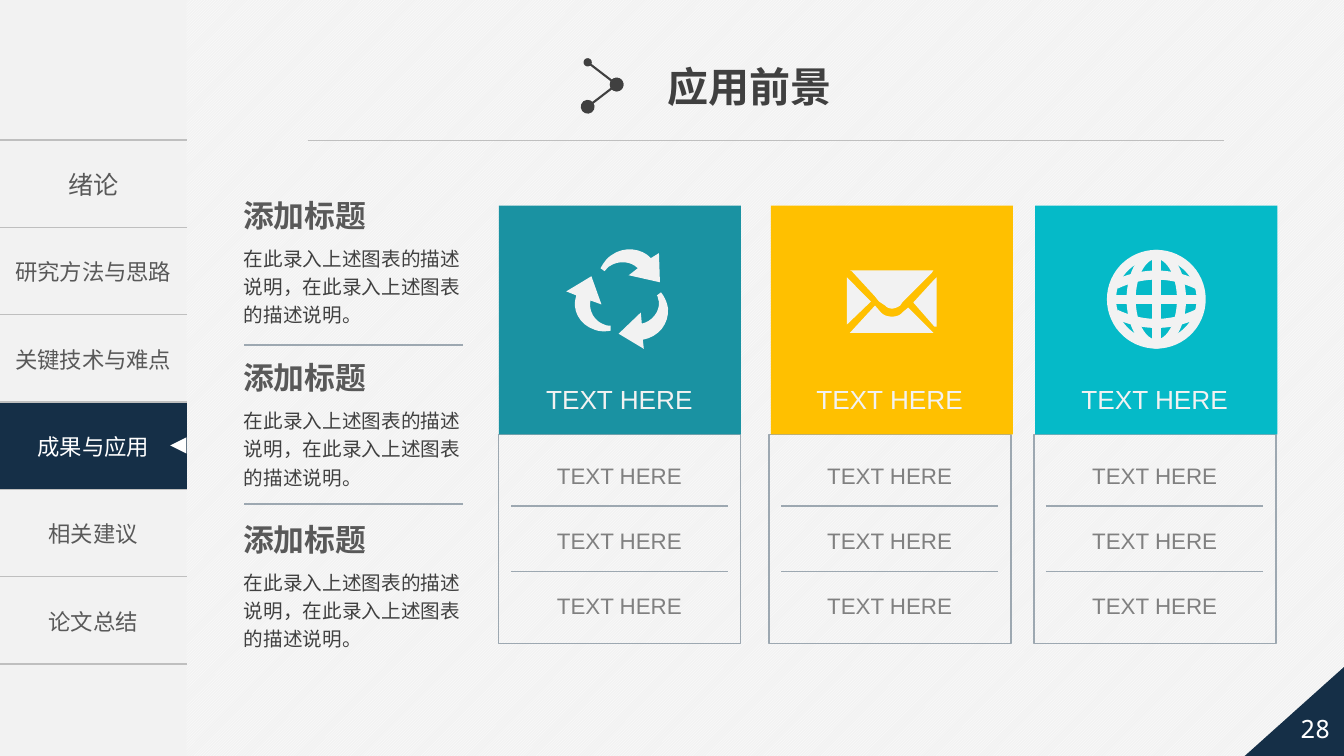
import dataclasses
import math

import lxml.etree
import pptx
import pptx.dml.color
import pptx.enum.dml
import pptx.enum.shapes
import pptx.enum.text
import pptx.oxml.ns
import pptx.shapes.autoshape
import pptx.slide
import pptx.table
import pptx.util

Cm = pptx.util.Cm
Align = pptx.enum.text.PP_ALIGN
Anchor = pptx.enum.text.MSO_ANCHOR
Preset = pptx.enum.shapes.MSO_SHAPE
Contour = list[tuple[float, ...]]


@dataclasses.dataclass(frozen=True)
class Theme:
    paper: str = "F2F2F2"
    white: str = "FFFFFF"
    navy: str = "152F47"
    teal: str = "1A92A2"
    amber: str = "FFC000"
    cyan: str = "05BAC8"
    rule: str = "BFBFBF"
    steel: str = "9DA8B1"
    dark: str = "404040"
    heading: str = "595959"
    muted: str = "808080"
    title_size: float = 29.3
    heading_size: float = 22
    label_size: float = 18.7
    large_size: float = 18
    item_size: float = 16
    body_size: float = 14
    latin: str = "Arial"
    chinese: str = "Noto Sans CJK SC"
    mono: str = "Noto Sans Mono"


@dataclasses.dataclass(frozen=True)
class Card:
    header_left: float
    body_left: float
    color: str


THEME = Theme()
CHAPTERS = ["绪论", "研究方法与思路", "关键技术与难点", "成果与应用", "相关建议", "论文总结"]
ACTIVE_CHAPTER = "成果与应用"
CARDS = [
    Card(12.57, 12.57, THEME.teal),
    Card(19.43, 19.38, THEME.amber),
    Card(26.09, 26.06, THEME.cyan),
]
SECTION_TOPS = [4.83, 8.92, 13.0]
DESCRIPTION = "在此录入上述图表的描述说明，在此录入上述图表的描述说明。"
RECYCLE_ARROWS: list[Contour] = [
    [(77, 102), (52, 87), (74, 66), (75, 77), (85, 75, 93, 65, 92, 55), (91, 53, 91, 50, 90, 49),
     (94, 46), (98, 51, 100, 56, 101, 62), (102, 77, 92, 90, 76, 93)],
    [(0, 45), (25, 30), (35, 58), (24, 54), (22, 64, 28, 75, 38, 78), (40, 79, 42, 79, 44, 79),
     (44, 84), (39, 85, 33, 85, 28, 83), (13, 78, 5, 63, 10, 49)],
    [(92, 7), (84, 12), (75, 2, 57, 0, 45, 9), (40, 12, 37, 17, 34, 22), (38, 25),
     (40, 23, 41, 21, 43, 20), (52, 14, 64, 15, 71, 22), (62, 29), (93, 36)],
]
ENVELOPE: list[Contour] = [
    [(0, 7), (0, 54), (24, 31)],
    [(28, 26), (32, 31), (38, 35), (40, 37, 42, 38, 45, 38), (47, 38, 50, 37, 53, 35),
     (55, 32), (61, 26), (84, 3), (86, 0), (3, 0), (5, 1)],
    [(61, 37), (55, 42), (53, 45, 48, 46, 45, 46), (41, 46, 37, 45, 34, 42),
     (28, 35), (5, 60), (3, 62), (86, 62), (84, 60)],
    [(87, 9), (66, 32), (87, 56), (89, 56), (89, 7)],
]


def rgb(color: str) -> pptx.dml.color.RGBColor:
    return pptx.dml.color.RGBColor.from_string(color)


def add_xml(parent: lxml.etree._Element, tag: str, **attributes: str) -> lxml.etree._Element:
    return lxml.etree.SubElement(parent, pptx.oxml.ns.qn(tag), attributes)


def write_text(frame: pptx.text.text.TextFrame, text: str, *, size: float, color: str,
               font: str = THEME.chinese, bold: bool = False, align: Align = Align.LEFT,
               spacing: float = 1.0) -> None:
    paragraph = frame.paragraphs[0]
    paragraph.alignment = align
    paragraph.line_spacing = spacing
    run = paragraph.add_run()
    run.text = text
    run.font.size = pptx.util.Pt(size)
    run.font.bold = bold
    run.font.name = font
    run.font.color.rgb = rgb(color)
    add_xml(run.font._element, "a:ea", typeface=THEME.chinese)


def add_text(slide: pptx.slide.Slide, text: str, left: float, top: float, width: float,
             height: float, *, margin: float = 0.13, wrap: bool = True,
             anchor: Anchor = Anchor.TOP, **text_format) -> None:
    frame = slide.shapes.add_textbox(Cm(left), Cm(top), Cm(width), Cm(height)).text_frame
    frame.word_wrap = wrap
    frame.vertical_anchor = anchor
    frame.margin_top = frame.margin_bottom = Cm(margin)
    frame.margin_left = frame.margin_right = Cm(margin * 2)
    write_text(frame, text, **text_format)


def paint(shape: pptx.shapes.autoshape.Shape, fill: str | None, line: str | None = None,
          weight: float = 1) -> None:
    shape.shadow.inherit = False
    if fill:
        shape.fill.solid()
        shape.fill.fore_color.rgb = rgb(fill)
    else:
        shape.fill.background()
    if line:
        shape.line.color.rgb = rgb(line)
        shape.line.width = pptx.util.Pt(weight)
    else:
        shape.line.fill.background()


def add_preset(slide: pptx.slide.Slide, preset: Preset, left: float, top: float, width: float,
               height: float, fill: str | None,
               line: str | None = None) -> pptx.shapes.autoshape.Shape:
    shape = slide.shapes.add_shape(preset, Cm(left), Cm(top), Cm(width), Cm(height))
    paint(shape, fill, line)
    return shape


def add_line(slide: pptx.slide.Slide, start: tuple[float, float], end: tuple[float, float],
             color: str, weight: float = 1, dots: tuple[str, str] | None = None) -> None:
    connector = slide.shapes.add_connector(
        pptx.enum.shapes.MSO_CONNECTOR.STRAIGHT, *map(Cm, start + end))
    connector.line.color.rgb = rgb(color)
    connector.line.width = pptx.util.Pt(weight)
    properties = connector._element.spPr
    if dots:
        outline = properties.find(pptx.oxml.ns.qn("a:ln"))
        for tag, size in zip(("a:headEnd", "a:tailEnd"), dots):
            add_xml(outline, tag, type="oval", w=size, len=size)
    add_xml(properties, "a:effectLst")


def flatten(contour: Contour, steps: int = 8) -> Contour:
    points = [contour[0]]
    for segment in contour[1:]:
        if len(segment) == 2:
            points.append(segment)
            continue
        controls = [points[-1], segment[:2], segment[2:4], segment[4:]]
        for step in range(1, steps + 1):
            t = step / steps
            weights = [math.comb(3, k) * t**k * (1 - t) ** (3 - k) for k in range(4)]
            points.append(tuple(sum(w * point[axis] for w, point in zip(weights, controls))
                                for axis in (0, 1)))
    return points


def add_icon(slide: pptx.slide.Slide, contours: list[Contour], left: float, top: float,
             closed: bool = True) -> pptx.shapes.autoshape.Shape:
    scaled = [[(x * 100, y * 100) for x, y in flatten(contour)] for contour in contours]
    builder = slide.shapes.build_freeform(*scaled[0][0], scale=Cm(2.54) / 10000)
    for index, points in enumerate(scaled):
        if index:
            builder.move_to(*points[0])
        builder.add_line_segments(points[1:], close=closed)
    shape = builder.convert_to_shape(Cm(left), Cm(top))
    paint(shape, THEME.paper)
    return shape


def globe_contours() -> list[Contour]:
    radius = 44.5
    angles = [math.radians(degree) for degree in range(0, 361, 6)]
    ellipses = [[(width * math.cos(a), radius * math.sin(a)) for a in angles]
                for width in (radius, 25)]
    parallels = [[(x, side * (24 - 0.01 * x * x * 0.58)) for x in range(-40, 41, 4)]
                 for side in (-1, 1)]
    axes = [[(-radius, 0), (radius, 0)], [(0, -radius), (0, radius)]]
    return ellipses + parallels + axes


def style_cell(cell: pptx.table._Cell, active: bool) -> None:
    properties = cell._tc.get_or_add_tcPr()
    for tag in ("a:lnL", "a:lnR"):
        add_xml(add_xml(properties, tag, w="0"), "a:noFill")
    for tag in ("a:lnT", "a:lnB"):
        border = add_xml(properties, tag, w=str(pptx.util.Pt(1)))
        add_xml(add_xml(border, "a:solidFill"), "a:srgbClr", val=THEME.rule)
    if active:
        cell.fill.solid()
        cell.fill.fore_color.rgb = rgb(THEME.navy)
    else:
        cell.fill.background()
    cell.vertical_anchor = Anchor.MIDDLE


def draw_navigation(slide: pptx.slide.Slide) -> None:
    add_preset(slide, Preset.RECTANGLE, 0, 0, 4.7, 19.05, THEME.paper)
    table = slide.shapes.add_table(len(CHAPTERS), 1, 0, Cm(3.53), Cm(4.7), Cm(13.2)).table
    table.first_row = table.horz_banding = False
    for index, chapter in enumerate(CHAPTERS):
        cell = table.cell(index, 0)
        active = chapter == ACTIVE_CHAPTER
        style_cell(cell, active)
        write_text(cell.text_frame, chapter, align=Align.CENTER,
                   size=THEME.item_size if index else THEME.large_size,
                   color=THEME.white if active else THEME.heading)
    marker = add_preset(slide, Preset.ISOSCELES_TRIANGLE, 4.29, 11.02, 0.41, 0.41, THEME.white)
    marker.rotation = 270


def draw_title(slide: pptx.slide.Slide) -> None:
    add_line(slide, (7.75, 3.53), (30.84, 3.53), THEME.rule, 0.5)
    add_text(slide, "应用前景", 16.56, 1.42, 4.7, 1.5, wrap=False, size=THEME.title_size,
             color=THEME.dark, font=THEME.latin, bold=True)
    add_line(slide, (14.81, 1.57), (15.54, 2.13), THEME.dark, 1.5, ("med", "lg"))
    add_line(slide, (15.54, 2.13), (14.81, 2.69), THEME.dark, 1.5, ("lg", "lg"))


def draw_sections(slide: pptx.slide.Slide) -> None:
    for top in SECTION_TOPS:
        add_text(slide, "添加标题", 5.87, top, 4.09, 1.19, size=THEME.heading_size,
                 color=THEME.heading, bold=True)
        add_text(slide, DESCRIPTION, 5.89, top + 1.14, 6.3, 2.41, size=THEME.body_size,
                 color=THEME.dark, spacing=1.2)
    for y in (8.69, 12.7):
        add_line(slide, (6.15, y), (11.66, y), THEME.steel)


def draw_card(slide: pptx.slide.Slide, card: Card) -> None:
    left, width = card.body_left + 0.31, 5.46
    add_preset(slide, Preset.RECTANGLE, card.body_left, 10.95, 6.1, 5.26, None, THEME.steel)
    add_preset(slide, Preset.RECTANGLE, card.header_left, 5.18, 6.1, 5.77, card.color)
    add_text(slide, "TEXT HERE", left, 9.5, width, 1.14, margin=0.17, align=Align.CENTER,
             size=THEME.label_size, color=THEME.paper, font=THEME.latin)
    for row in range(3):
        add_text(slide, "TEXT HERE", left, 11.48 + row * 1.63, width, 1.02, margin=0.17,
                 align=Align.CENTER, size=THEME.item_size, color=THEME.muted, font=THEME.latin)
    for y in (12.75, 14.4):
        add_line(slide, (left, y), (left + width, y), THEME.steel)


def draw_page_number(slide: pptx.slide.Slide) -> None:
    corner = add_preset(slide, Preset.RIGHT_TRIANGLE, 31.37, 16.81, 2.5, 2.24, THEME.navy)
    corner._element.spPr.get_or_add_xfrm().set("flipH", "1")
    add_text(slide, "28", 32.46, 17.7, 1.37, 1.3, margin=0, anchor=Anchor.MIDDLE,
             align=Align.CENTER, size=THEME.large_size, color=THEME.white, font=THEME.mono)


def main() -> None:
    presentation = pptx.Presentation()
    presentation.slide_width, presentation.slide_height = Cm(33.87), Cm(19.05)
    slide = presentation.slides.add_slide(presentation.slide_layouts[6])
    background = slide.background.fill
    background.patterned()
    background.pattern = pptx.enum.dml.MSO_PATTERN.LIGHT_UPWARD_DIAGONAL
    background.fore_color.rgb = rgb(THEME.white)
    background.back_color.rgb = rgb(THEME.paper)
    draw_navigation(slide)
    draw_title(slide)
    draw_sections(slide)
    for card in CARDS:
        draw_card(slide, card)
    add_icon(slide, RECYCLE_ARROWS, 14.27, 6.2)
    add_icon(slide, ENVELOPE, 21.34, 6.81)
    globe = add_icon(slide, globe_contours(), 29.14, 7.54, closed=False)
    paint(globe, None, THEME.paper, 6.5)
    draw_page_number(slide)
    presentation.save("out.pptx")


if __name__ == "__main__":
    main()
